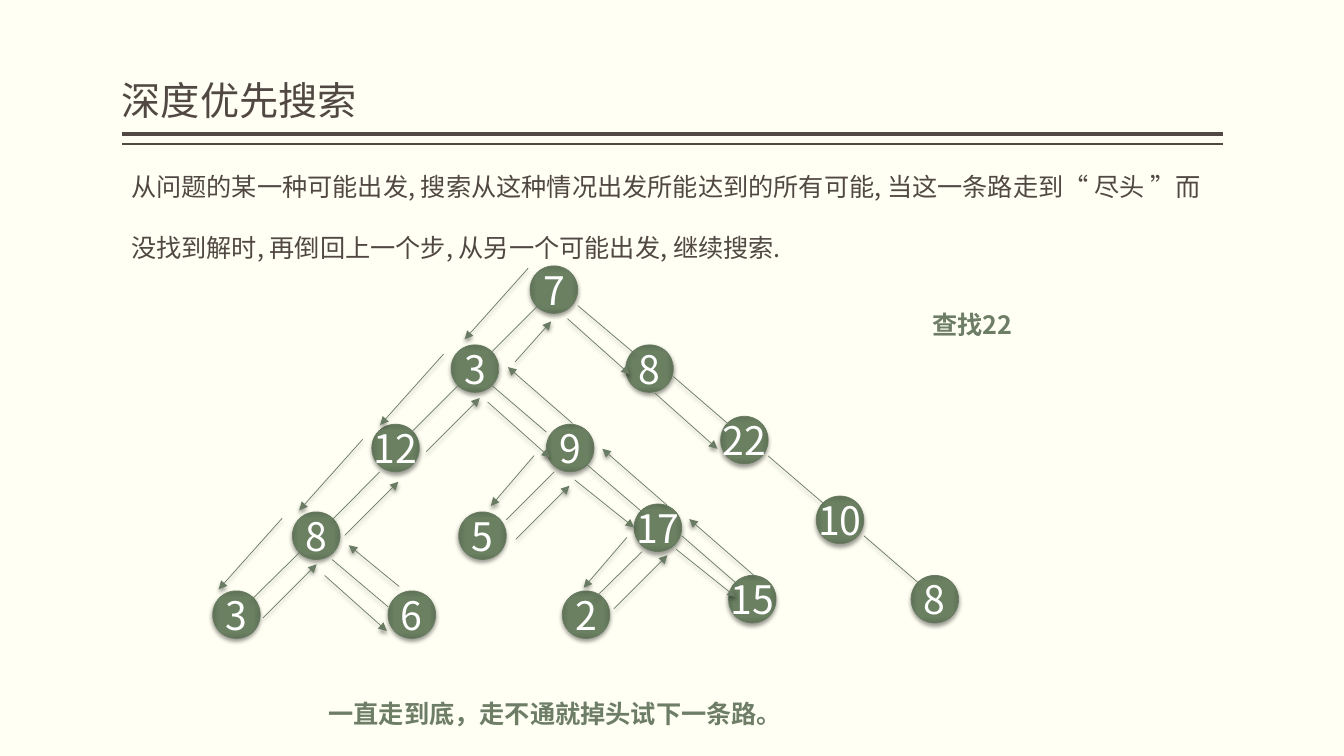
from lxml import etree
from pptx import Presentation
from pptx.dml.color import RGBColor
from pptx.enum.shapes import MSO_CONNECTOR, MSO_SHAPE
from pptx.enum.text import MSO_ANCHOR, MSO_AUTO_SIZE, PP_ALIGN
from pptx.oxml import parse_xml
from pptx.oxml.ns import nsdecls, qn
from pptx.util import Cm, Pt

STRAIGHT = MSO_CONNECTOR.STRAIGHT
ELLIPSE = MSO_SHAPE.OVAL
BOTTOM, MIDDLE = MSO_ANCHOR.BOTTOM, MSO_ANCHOR.MIDDLE
CENTER = PP_ALIGN.CENTER
NO_FIT = MSO_AUTO_SIZE.NONE

THEME = {
    "font": "Noto Sans CJK SC",
    "paper": "FFFFF3",
    "ink": "514843",
    "accent": "6D7D66",
    "edge": "6A7B63",
    "white": "FFFFFF",
    "node_stops": [(0, "6B8162"), (71, "6A8061"), (100, "5F7256")],
    "large": Pt(28),
    "small": Pt(18),
}

SHADOW = (
    f'<a:effectLst {nsdecls("a")}><a:outerShdw blurRad="39370" dist="25400" dir="5400000" rotWithShape="0">'
    '<a:srgbClr val="000000"><a:alpha val="38000"/></a:srgbClr></a:outerShdw></a:effectLst>'
)
STOPS = "".join(
    f'<a:gs pos="{place * 1000}"><a:srgbClr val="{color}"/></a:gs>' for place, color in THEME["node_stops"]
)
NODE_FILL = (
    f'<a:gradFill {nsdecls("a")} rotWithShape="1"><a:gsLst>{STOPS}</a:gsLst><a:path path="rect">'
    '<a:fillToRect l="50000" t="50000" r="50000" b="50000"/></a:path></a:gradFill>'
)

NODE_SIZE = 1.2
NODES = {
    "root": ("7", 13.36, 6.7),
    "left": ("3", 11.37, 8.69),
    "right": ("8", 15.77, 8.69),
    "twelve": ("12", 9.37, 10.69),
    "nine": ("9", 13.77, 10.69),
    "goal": ("22", 18.16, 10.49),
    "eight": ("8", 7.37, 12.9),
    "five": ("5", 11.56, 12.9),
    "seventeen": ("17", 15.98, 12.7),
    "ten": ("10", 20.57, 12.5),
    "three": ("3", 5.36, 14.89),
    "six": ("6", 9.78, 14.89),
    "two": ("2", 14.17, 14.89),
    "fifteen": ("15", 18.36, 14.5),
    "last": ("8", 22.96, 14.5),
}
EDGES = [
    ("root", (0.2, 1), "left", (1, 0.2)),
    ("left", (0.2, 1), "twelve", (1, 0.2)),
    ("twelve", (0.2, 1.2), "eight", (1, 0.2)),
    ("eight", (0.2, 1), "three", (1, 0.2)),
    ("root", (1.2, 1), "right", (0.2, 0.2)),
    ("right", (1.2, 0.8), "goal", (0.2, 0.2)),
    ("goal", (1.2, 1), "ten", (0.2, 0.2)),
    ("ten", (1.2, 1), "last", (0.2, 0.2)),
    ("left", (1, 1), "nine", (0, 0.2)),
    ("eight", (1, 1.2), "six", (0, 0.4)),
    ("nine", (1, 1), "seventeen", (0.2, 0.2)),
    ("nine", (0.2, 1.2), "five", (1.2, 0.2)),
    ("seventeen", (0.2, 1.2), "two", (0.8, 0.2)),
    ("seventeen", (1.2, 0.8), "fifteen", (0.2, 0.2)),
]
ARROWS = [
    ((-1.6, 1.79), [(13.31, 6.76), (11.18, 8.92), (9.14, 11.07), (7.11, 13.06)]),
    ((-1.09, 1.27), [(13.46, 11.48), (15.8, 13.54)]),
    ((1.35, -1.35), [(6.63, 15.57), (8.69, 13.49), (10.74, 11.38), (13, 13.59), (15.47, 15.34)]),
    ((0.91, -1.02), [(12.98, 9.12)]),
    ((1.57, 1.4), [(8.18, 14.5), (12.29, 10.13), (14.3, 8.03), (16.51, 9.91)]),
    ((1.5, 1.2), [(14.48, 12.09), (17.04, 13.84)]),
    ((-1.63, -1.42), [(19, 14.5), (16.81, 12.73), (14.43, 10.67)]),
    ((-1.27, -1.04), [(10.06, 14.78)]),
]


def write(shape, text, size, color, bold=False):
    para = shape.text_frame.paragraphs[0]
    para.text = text
    para.space_before = Pt(0)
    para.font.size = THEME[size]
    para.font.bold = bold
    para.font.color.rgb = RGBColor.from_string(THEME[color])
    para.font.name = THEME["font"]
    defaults = para._p.get_or_add_pPr().find(qn("a:defRPr"))
    etree.SubElement(defaults, qn("a:ea")).set("typeface", THEME["font"])
    return para


def draw_line(start, end, color, width, effect, arrow=False):
    line = page.shapes.add_connector(STRAIGHT, *[Cm(value) for value in (*start, *end)])
    line.line.color.rgb = RGBColor.from_string(THEME[color])
    line.line.width = Pt(width)
    properties = line._element.spPr
    if arrow:
        etree.SubElement(properties.find(qn("a:ln")), qn("a:tailEnd")).set("type", "triangle")
    properties.append(parse_xml(effect))


deck = Presentation()
deck.slide_width, deck.slide_height = Cm(33.87), Cm(19.05)
page = deck.slides.add_slide(deck.slide_layouts[1])
page.background.fill.solid()
page.background.fill.fore_color.rgb = RGBColor.from_string(THEME["paper"])

for height, width in ((3.38, 3), (3.63, 1)):
    draw_line((30.81, height), (3.07, height), "ink", width, f'<a:effectLst {nsdecls("a")}/>')

title = page.shapes.title
title.left, title.top, title.width, title.height = Cm(3.07), Cm(0.2), Cm(27.74), Cm(3.05)
title.text_frame.auto_size = NO_FIT
title.text_frame.vertical_anchor = BOTTOM
title.text_frame.margin_left = title.text_frame.margin_right = 0
para = write(title, "深度优先搜索", "large", "ink")
para.alignment = PP_ALIGN.LEFT
para.line_spacing = 0.9

body = page.placeholders[1]
body.left, body.top, body.width, body.height = Cm(3.05), Cm(3.43), Cm(27.53), Cm(3.1)
body.text_frame.auto_size = NO_FIT
settings = body.text_frame.paragraphs[0]._p.get_or_add_pPr()
settings.set("marL", "0")
settings.set("indent", "0")
etree.SubElement(settings, qn("a:buNone"))
para = write(
    body,
    "从问题的某一种可能出发, 搜索从这种情况出发所能达到的所有可能, 当这一条路走到“ 尽头 ”而没找到解时, "
    "再倒回上一个步, 从另一个可能出发, 继续搜索.",
    "small",
    "ink",
)
para.line_spacing = 2.0

for text, left, top, width in (
    ("一直走到底，走不通就掉头试下一条路。", 8.03, 17.48, 18.8),
    ("查找22", 23.24, 7.67, 3.3),
):
    box = page.shapes.add_textbox(Cm(left), Cm(top), Cm(width), Cm(1.02))
    box.text_frame.word_wrap = True
    write(box, text, "small", "accent", True)

for label, left, top in NODES.values():
    node = page.shapes.add_shape(ELLIPSE, Cm(left), Cm(top), Cm(NODE_SIZE), Cm(NODE_SIZE))
    node.line.color.rgb = RGBColor.from_string(THEME["edge"])
    node.line.width = Pt(0.5)
    properties = node._element.spPr
    properties.find(qn("a:prstGeom")).addnext(parse_xml(NODE_FILL))
    properties.append(parse_xml(SHADOW))
    node.text_frame.word_wrap = False
    node.text_frame.vertical_anchor = MIDDLE
    write(node, label, "large", "white").alignment = CENTER

for parent, leave, child, reach in EDGES:
    start, end = [
        (NODES[name][1] + across, NODES[name][2] + down)
        for name, (across, down) in ((parent, leave), (child, reach))
    ]
    draw_line(start, end, "edge", 0.5, SHADOW)

for (across, down), starts in ARROWS:
    for left, top in starts:
        draw_line((left, top), (left + across, top + down), "edge", 0.5, SHADOW, True)

deck.save("out.pptx")
